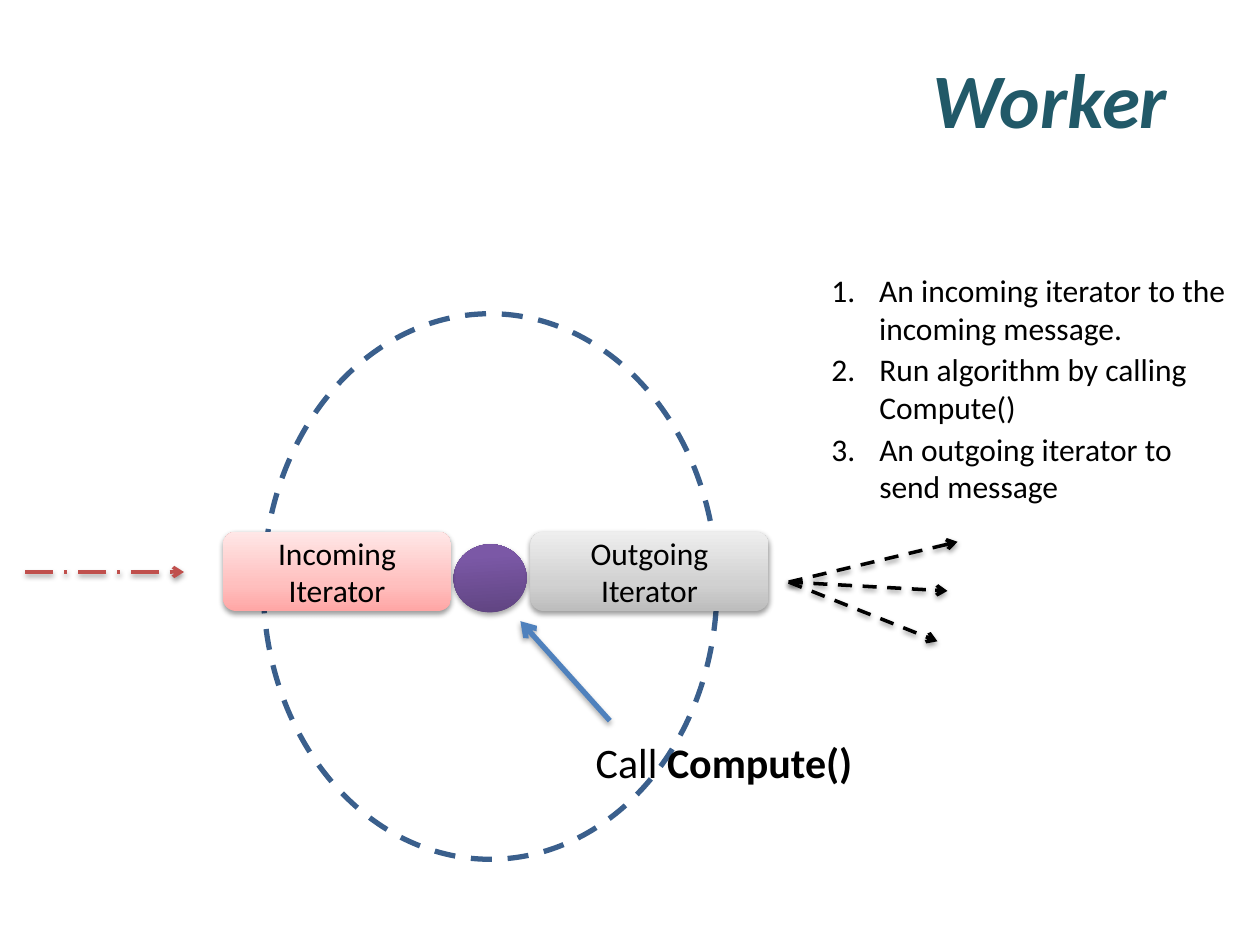
from copy import deepcopy

from lxml.etree import SubElement
from pptx import Presentation
from pptx.dml.color import RGBColor
from pptx.enum.dml import MSO_LINE
from pptx.enum.shapes import MSO_CONNECTOR, MSO_SHAPE
from pptx.enum.text import MSO_ANCHOR, PP_ALIGN
from pptx.oxml.ns import qn
from pptx.util import Inches, Pt

# Content
TITLE = "Worker "
STEPS = ["An incoming iterator to the\vincoming message.",
         "Run algorithm by calling\vCompute()",
         "An outgoing iterator to\vsend message"]
CALL = [("Call ", False), ("Compute()", True)]
# label, left, width, gradient from bottom to top
ITERATORS = [
    ("Incoming\nIterator", 1.77, 1.81, [(0, "FFA6A5"), (0.35, "FFC0BF"), (1, "FFE7E7")]),
    ("Outgoing\nIterator", 4.21, 1.89, [(0, "BDBDBD"), (0.35, "D1D1D1"), (1, "EEEEEE")]),
]
COMPUTE_GRADIENT = [(0, "5F4480"), (0.8, "7B58A6"), (1, "7C57A8")]
FAN_START = (6.26, 4.62)
FAN_ENDS = [(7.6, 4.3), (7.52, 4.69), (7.44, 5.09)]

# Layout
STEP_LEFT, STEP_TOP, STEP_PITCH = 6.5, 2.1, 0.63
ROW_TOP, ROW_HEIGHT = 4.22, 0.63
INDENT = 0.38

prs = Presentation()
prs.slide_width, prs.slide_height = Inches(10), Inches(7.5)
slide = prs.slides.add_slide(prs.slide_layouts[6])
shapes = slide.shapes


def color(value):
    return RGBColor.from_string(value)


def write(frame, text, size=18, fill="000000", italic=False, align=PP_ALIGN.LEFT,
          anchor=MSO_ANCHOR.TOP, wrap=False, number=None):
    """Fill a frame with plain text or a list of (text, bold) runs."""
    frame.word_wrap, frame.vertical_anchor = wrap, anchor
    lines = [[(line, italic)] for line in text.split("\n")] if isinstance(text, str) else [text]
    for index, runs in enumerate(lines):
        paragraph = frame.add_paragraph() if index else frame.paragraphs[0]
        paragraph.alignment = align
        if number:
            props = paragraph._p.get_or_add_pPr()
            props.set("marL", str(Inches(INDENT)))
            props.set("indent", str(-Inches(INDENT)))
            SubElement(props, qn("a:buFont"), typeface="+mj-lt")
            SubElement(props, qn("a:buAutoNum"), type="arabicPeriod", startAt=str(number))
        for words, bold in runs:
            for part_index, part in enumerate(words.split("\v")):
                if part_index:
                    paragraph.add_line_break()
                run = paragraph.add_run()
                run.text = part
                font = run.font
                font.name, font.size, font.bold, font.italic = "Calibri", Pt(size), bold, italic
                font.color.rgb = color(fill)


def text_box(left, top, width, height, text, **style):
    box = shapes.add_textbox(Inches(left), Inches(top), Inches(width), Inches(height))
    write(box.text_frame, text, **style)


def add_shadow(part, alpha, distance):
    effects = SubElement(part._element.spPr, qn("a:effectLst"))
    shadow = SubElement(effects, qn("a:outerShdw"), blurRad=str(Pt(3.1)),
                        dist=str(Pt(distance)), dir="5400000", rotWithShape="0")
    black = SubElement(shadow, qn("a:srgbClr"), val="000000")
    SubElement(black, qn("a:alpha"), val=str(alpha * 1000))


def gradient_shape(kind, left, top, width, height, stops, alpha, distance):
    shape = shapes.add_shape(kind, Inches(left), Inches(top), Inches(width), Inches(height))
    shape.fill.gradient()
    shape.fill.gradient_angle = 90
    stop_list = shape._element.spPr.find(qn("a:gradFill")).find(qn("a:gsLst"))
    stop_list.append(deepcopy(stop_list[-1]))
    for stop, (position, value) in zip(shape.fill.gradient_stops, stops):
        stop.position, stop.color.rgb = position, color(value)
    shape.line.fill.background()
    add_shadow(shape, alpha, distance)
    return shape


def arrow(start, end, value, width, dash=None, alpha=38, distance=1.6):
    line = shapes.add_connector(MSO_CONNECTOR.STRAIGHT, *(Inches(v) for v in start + end))
    line.line.color.rgb, line.line.width = color(value), Pt(width)
    if dash:
        line.line.dash_style = dash
    SubElement(line._element.spPr.find(qn("a:ln")), qn("a:tailEnd"), type="arrow")
    add_shadow(line, alpha, distance)


# Title
text_box(0.5, 0.3, 9, 0.95, [(TITLE, True)], size=44, fill="215968", italic=True,
         align=PP_ALIGN.RIGHT, anchor=MSO_ANCHOR.MIDDLE, wrap=True)

# Worker boundary
boundary = shapes.add_shape(MSO_SHAPE.OVAL, Inches(2.09), Inches(2.49), Inches(3.6), Inches(4.33))
boundary.shadow.inherit = False
boundary.fill.background()
boundary.line.color.rgb, boundary.line.width = color("3A5F8C"), Pt(3)
boundary.line.dash_style = MSO_LINE.DASH

# Incoming and outgoing messages
arrow((0.2, 4.54), (1.46, 4.54), "C0504D", 2, MSO_LINE.LONG_DASH_DOT)
for fan_end in FAN_ENDS:
    arrow(FAN_START, fan_end, "000000", 2, MSO_LINE.DASH)

# Compute call
arrow((4.84, 5.72), (4.13, 4.93), "4F81BD", 3, alpha=35, distance=1.8)
text_box(4.63, 5.8, 2.26, 0.5, CALL, size=24)
compute = gradient_shape(MSO_SHAPE.OVAL, 3.6, 4.32, 0.58, 0.54, COMPUTE_GRADIENT, 35, 1.8)
compute.rotation = 356.3

# Iterators
for label, left, width, stops in ITERATORS:
    iterator = gradient_shape(MSO_SHAPE.ROUNDED_RECTANGLE, left, ROW_TOP, width, ROW_HEIGHT,
                              stops, 38, 1.6)
    write(iterator.text_frame, label, align=PP_ALIGN.CENTER, anchor=MSO_ANCHOR.MIDDLE, wrap=True)

# Numbered steps
for index, (step, width) in enumerate(zip(STEPS, (3.36, 3.11, 2.99))):
    text_box(STEP_LEFT, STEP_TOP + index * STEP_PITCH, width, 0.71, step, number=index + 1)

prs.save("out.pptx")
